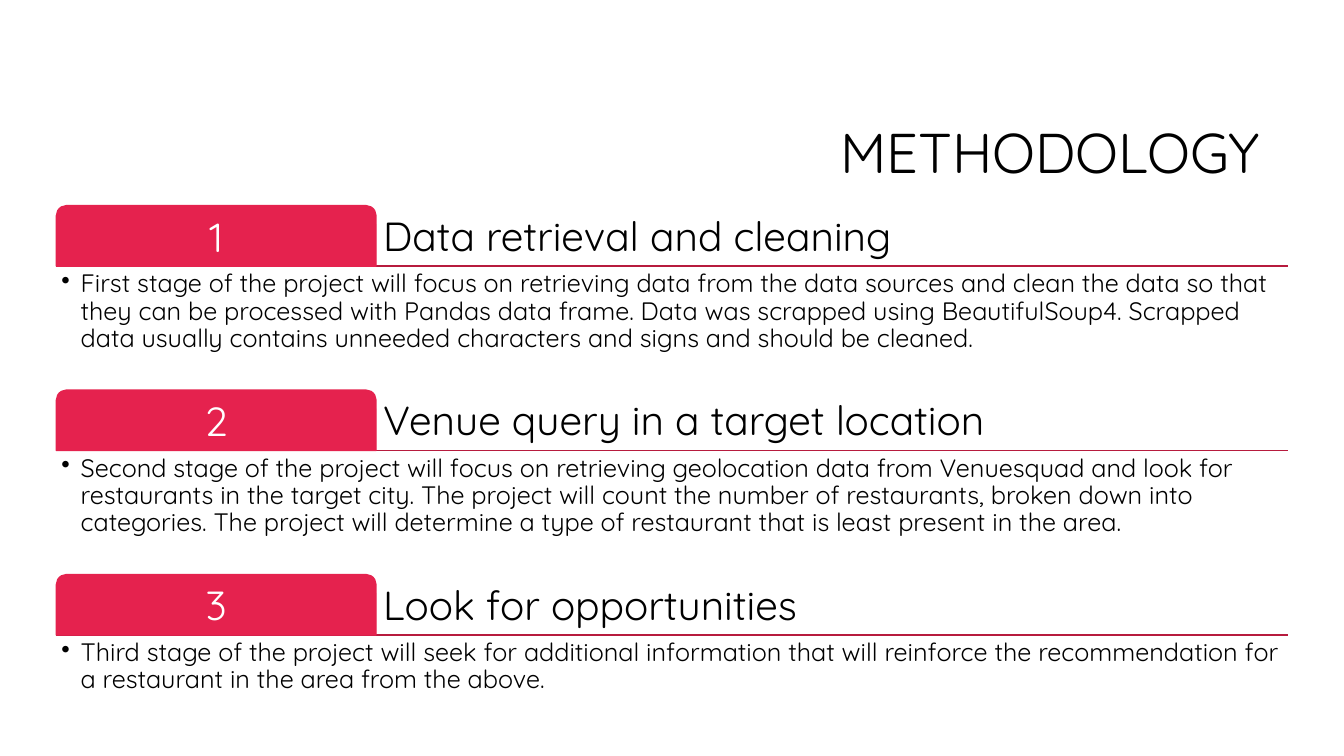
import pptx
import pptx.util
import pptx.dml.color
import pptx.enum.shapes
import pptx.enum.text
import pptx.oxml.ns
import lxml.etree

PX = 9144  # 100 px to the inch
FONT = "Quicksand"
BLACK = pptx.dml.color.RGBColor(0x00, 0x00, 0x00)
WHITE = pptx.dml.color.RGBColor(0xFF, 0xFF, 0xFF)
PINK = pptx.dml.color.RGBColor(0xE5, 0x22, 0x4E)
WINE = pptx.dml.color.RGBColor(0xB7, 0x1B, 0x3E)

ALIGN = pptx.enum.text.PP_ALIGN
ANCHOR = pptx.enum.text.MSO_ANCHOR

LEFT, RIGHT = 56, 1277
TAB_W, TAB_H = 317, 60
BODY_H = 120
TOP, STEP = 204, 183
INDENT = 19

STAGES = [
    ("Data retrieval and cleaning",
     "First stage of the project will focus on retrieving data from the data "
     "sources and clean the data so that they can be processed with Pandas data "
     "frame. Data was scrapped using BeautifulSoup4. Scrapped data usually "
     "contains unneeded characters and signs and should be cleaned."),
    ("Venue query in a target location",
     "Second stage of the project will focus on retrieving geolocation data from "
     "Venuesquad and look for restaurants in the target city. The project will "
     "count the number of restaurants, broken down into categories. The project "
     "will determine a type of restaurant that is least present in the area."),
    ("Look for opportunities",
     "Third stage of the project will seek for additional information that will "
     "reinforce the recommendation for a restaurant in the area from the above."),
]


def place(*lengths):
    return [n * PX for n in lengths]


def write(shape, text, size, color, align, anchor, insets):
    """Fill a shape with one paragraph; insets are left, top, right, bottom."""
    frame = shape.text_frame
    frame.text = text
    frame.word_wrap = True
    frame.auto_size = pptx.enum.text.MSO_AUTO_SIZE.NONE
    frame.vertical_anchor = anchor
    (frame.margin_left, frame.margin_top,
     frame.margin_right, frame.margin_bottom) = place(*insets)
    para = frame.paragraphs[0]
    para.alignment = align
    para.line_spacing = 0.9
    font = para.runs[0].font
    font.name = FONT
    font.size = pptx.util.Pt(size)
    font.color.rgb = color
    return para


deck = pptx.Presentation()
deck.slide_width, deck.slide_height = place(1333, 750)
slide = deck.slides.add_slide(deck.slide_layouts[5])
shapes = slide.shapes

title = shapes.title
title.left, title.top, title.width, title.height = place(317, 84, 942, 141)
write(title, "METHODOLOGY", 40, BLACK, ALIGN.RIGHT, ANCHOR.MIDDLE, (10, 5, 10, 5))

for i, (head, body) in enumerate(STAGES):
    top = TOP + i * STEP
    base = top + TAB_H

    rule = shapes.add_connector(pptx.enum.shapes.MSO_CONNECTOR.STRAIGHT,
                                *place(LEFT, base, RIGHT, base))
    rule.line.color.rgb = WINE
    rule.line.width = pptx.util.Pt(1)
    lxml.etree.SubElement(rule._element.spPr, pptx.oxml.ns.qn("a:effectLst"))

    tab = shapes.add_shape(pptx.enum.shapes.MSO_SHAPE.ROUND_2_SAME_RECTANGLE,
                           *place(LEFT, top, TAB_W, TAB_H))
    tab.shadow.inherit = False
    tab.fill.solid()
    tab.fill.fore_color.rgb = PINK
    tab.line.color.rgb = PINK
    tab.line.width = pptx.util.Pt(1)
    write(tab, str(i + 1), 29, WHITE, ALIGN.CENTER, ANCHOR.MIDDLE, (6, 9, 6, 6))

    label = shapes.add_textbox(
        *place(LEFT + TAB_W + 1, top, RIGHT - LEFT - TAB_W - 1, TAB_H))
    write(label, head, 29, BLACK, ALIGN.LEFT, ANCHOR.BOTTOM, (6, 6, 6, 6))

    block = shapes.add_textbox(*place(LEFT, base, RIGHT - LEFT, BODY_H))
    para = write(block, body, 18, BLACK, ALIGN.LEFT, ANCHOR.TOP, (5, 5, 5, 5))
    props = para._p.get_or_add_pPr()
    props.set("marL", str(INDENT * PX))
    props.set("indent", str(-INDENT * PX))
    bullet = lxml.etree.SubElement(props, pptx.oxml.ns.qn("a:buChar"))
    bullet.set("char", "•")

deck.save("out.pptx")
